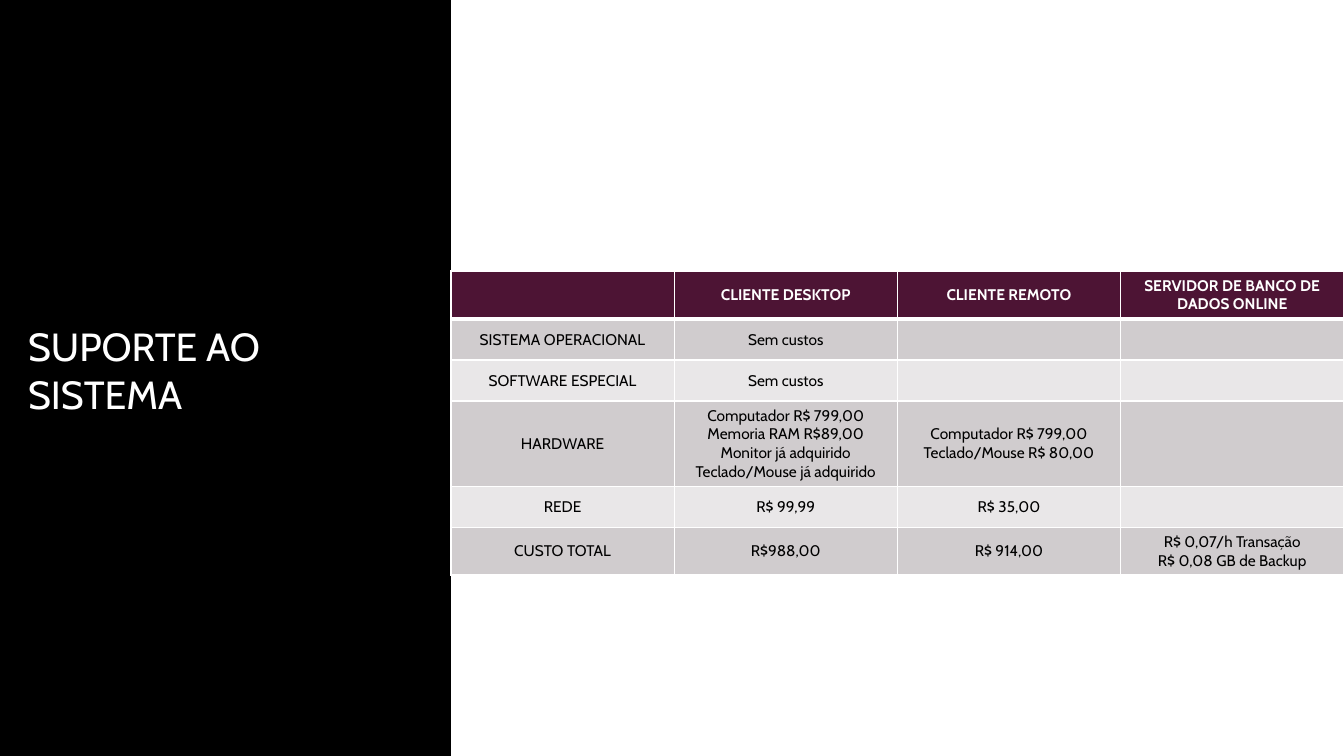
from lxml.etree import SubElement
from pptx import Presentation
from pptx.dml.color import RGBColor
from pptx.enum.shapes import MSO_SHAPE
from pptx.enum.text import MSO_ANCHOR, MSO_AUTO_SIZE, PP_ALIGN
from pptx.oxml.ns import qn
from pptx.util import Emu, Pt

BLACK = RGBColor(0x00, 0x00, 0x00)
WHITE = RGBColor(0xFF, 0xFF, 0xFF)
PLUM = RGBColor(0x4D, 0x14, 0x34)
BANDS = (RGBColor(0xD0, 0xCC, 0xCE), RGBColor(0xE9, 0xE7, 0xE8))
FONT = "Cabin"

SLIDE_WIDTH, SLIDE_HEIGHT = 1344, 756
PANEL_WIDTH = 451

ROW_HEIGHTS = (48, 41, 41, 85, 41, 47)
COSTS = (
    ("", "CLIENTE DESKTOP", "CLIENTE REMOTO", "SERVIDOR DE BANCO DE DADOS ONLINE"),
    ("SISTEMA OPERACIONAL", "Sem custos", "", ""),
    ("SOFTWARE ESPECIAL", "Sem custos", "", ""),
    ("HARDWARE",
     "Computador R$ 799,00\nMemoria RAM R$89,00\nMonitor já adquirido\nTeclado/Mouse já adquirido",
     "Computador R$ 799,00\nTeclado/Mouse R$ 80,00", ""),
    ("REDE", "R$ 99,99", "R$ 35,00", ""),
    ("CUSTO TOTAL", "R$988,00", "R$ 914,00", "R$ 0,07/h Transação\nR$ 0,08 GB de Backup"),
)


def px(length):
    return Emu(round(length * 914400 / 100.8))


def format_text(frame, size, color, bold, alignment):
    for para in frame.paragraphs:
        para.alignment = alignment
        for span in para.runs:
            span.font.name = FONT
            span.font.size = Pt(size)
            span.font.bold = bold
            span.font.color.rgb = color


def add_border(cell, side, width):
    line = SubElement(cell._tc.get_or_add_tcPr(), qn(f"a:ln{side}"), w=str(Pt(width)))
    fill = SubElement(line, qn("a:solidFill"))
    SubElement(fill, qn("a:srgbClr"), val=str(WHITE))


def add_title_panel(page, left, top, width, height):
    panel = page.shapes.add_shape(
        MSO_SHAPE.RECTANGLE, px(left), px(top), px(width), px(height))
    panel.shadow.inherit = False
    panel.fill.solid()
    panel.fill.fore_color.rgb = BLACK
    panel.line.fill.background()
    # Place the panel behind the title
    page.shapes.title._element.addprevious(panel._element)

    title = page.shapes.title
    title.left, title.top = px(left + 18), px(top + 334)
    title.width, title.height = px(width - 36), px(88)
    frame = title.text_frame
    frame.text = "SUPORTE AO SISTEMA"
    frame.word_wrap = True
    frame.auto_size = MSO_AUTO_SIZE.NONE
    frame.vertical_anchor = MSO_ANCHOR.BOTTOM
    frame.margin_right = px(20)
    format_text(frame, 28, WHITE, False, PP_ALIGN.LEFT)


def add_cost_table(page, left, top, width):
    column_count = len(COSTS[0])
    table = page.shapes.add_table(
        len(COSTS), column_count,
        px(left), px(top), px(width), px(sum(ROW_HEIGHTS))).table
    for column in table.columns:
        column.width = px(width / column_count)
    for row_index, texts in enumerate(COSTS):
        table.rows[row_index].height = px(ROW_HEIGHTS[row_index])
        header = row_index == 0
        # The rule below the header is thicker than the others
        borders = {"L": 1, "R": 1, "T": 3 if row_index == 1 else 1, "B": 3 if header else 1}
        for column_index, text in enumerate(texts):
            cell = table.cell(row_index, column_index)
            for side, weight in borders.items():
                add_border(cell, side, weight)
            cell.fill.solid()
            cell.fill.fore_color.rgb = PLUM if header else BANDS[(row_index - 1) % 2]
            cell.vertical_anchor = MSO_ANCHOR.MIDDLE
            cell.text_frame.text = text
            format_text(cell.text_frame, 11, WHITE if header else BLACK,
                        header, PP_ALIGN.CENTER)


def main():
    deck = Presentation()
    deck.slide_width, deck.slide_height = px(SLIDE_WIDTH), px(SLIDE_HEIGHT)
    page = deck.slides.add_slide(deck.slide_layouts.get_by_name("Title Only"))
    page.background.fill.solid()
    page.background.fill.fore_color.rgb = WHITE
    add_title_panel(page, 0, 0, PANEL_WIDTH, SLIDE_HEIGHT)
    add_cost_table(page, PANEL_WIDTH, 271, SLIDE_WIDTH - PANEL_WIDTH)
    deck.save("out.pptx")


if __name__ == "__main__":
    main()
